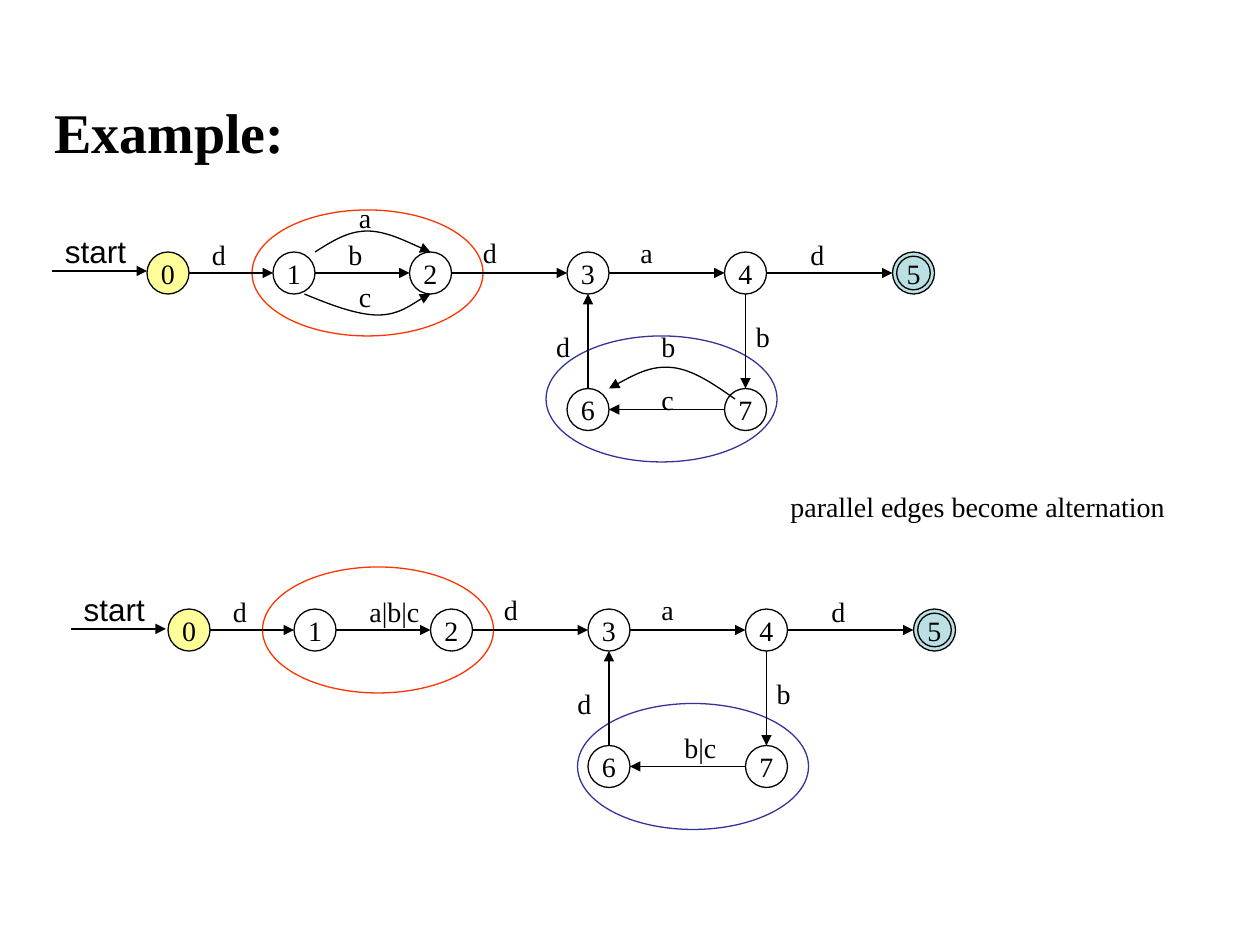
"""Build a slide showing how parallel automaton edges become alternation."""
from lxml import etree
from pptx import Presentation
from pptx.dml.color import RGBColor
from pptx.enum.shapes import MSO_CONNECTOR, MSO_SHAPE
from pptx.enum.text import MSO_ANCHOR, MSO_AUTO_SIZE, PP_ALIGN
from pptx.oxml.ns import qn
from pptx.util import Pt

PX = 7620
NODE = 40
OVAL = MSO_SHAPE.OVAL
STRAIGHT = MSO_CONNECTOR.STRAIGHT
MIDDLE = MSO_ANCHOR.MIDDLE
CENTER = PP_ALIGN.CENTER
LEFT = PP_ALIGN.LEFT
GROW = MSO_AUTO_SIZE.SHAPE_TO_FIT_TEXT
COLORS = {
    "black": "000000",
    "red": "FF3300",
    "blue": "333399",
    "yellow": "FFFF99",
    "teal": "BBE0E3",
}
BODY = {"name": "Times New Roman", "size": Pt(16)}
START = {"name": "Arial", "size": Pt(18)}
TITLE = {"name": "Times New Roman", "size": Pt(32), "bold": True}
LABEL_FRAME = {"word_wrap": False, "auto_size": GROW}
NODE_FRAME = {"word_wrap": False, "vertical_anchor": MIDDLE}
TITLE_FRAME = {"word_wrap": True, "vertical_anchor": MIDDLE}

NODES = {
    "0": (140, 240, "yellow"),
    "1": (260, 240, None),
    "2": (390, 240, None),
    "3": (540, 240, None),
    "4": (690, 240, None),
    "5": (850, 240, "teal"),
    "6": (540, 370, None),
    "7": (690, 370, None),
}
EDGES = ["01", "12", "23", "34", "45", "47", "76", "63"]
SHARED_LABELS = [
    ("d", 190, 220, 38), ("d", 448, 218, 38), ("a", 598, 218, 38),
    ("d", 760, 220, 38), ("d", 518, 308, 38), ("b", 708, 298, 38),
]
DIAGRAMS = [
    {
        "shift": (0, 0),
        "start": (50, 258),
        "rings": [(240, 200, "red"), (520, 320, "blue")],
        "labels": [
            ("a", 330, 185, 38), ("b", 320, 220, 38), ("c", 330, 260, 38),
            ("b", 618, 308, 38), ("c", 618, 358, 38),
        ],
    },
    {
        "shift": (20, 340),
        "start": (48, 259),
        "rings": [(230, 200, "red"), (530, 330, "blue")],
        "labels": [("a|b|c", 320, 220, 76), ("b|c", 620, 350, 60)],
    },
]
CURVES = [
    [(300, 240), (316, 230), (331, 220), (350, 220), (368, 220), (400, 236), (410, 240)],
    [(290, 280), (314, 290), (340, 300), (360, 300), (380, 300), (402, 283), (410, 280)],
    [(700, 380), (680, 366), (660, 352), (640, 350), (620, 348), (600, 359), (580, 370)],
]

deck = Presentation()
deck.slide_width, deck.slide_height = 1200 * PX, 900 * PX
page = deck.slides.add_slide(deck.slide_layouts[6])
shapes = page.shapes
arrows = []


def write(box, text, font, frame, align=LEFT):
    """Put one formatted span of text in a box."""
    for name, value in frame.items():
        setattr(box.text_frame, name, value)
    para = box.text_frame.paragraphs[0]
    para.alignment = align
    span = para.add_run()
    span.text = text
    for name, value in font.items():
        setattr(span.font, name, value)
    span.font.color.rgb = RGBColor.from_string(COLORS["black"])


def add_oval(left, top, width, height, line, fill=None):
    """Draw an outlined oval."""
    oval = shapes.add_shape(OVAL, left * PX, top * PX, width * PX, height * PX)
    oval.shadow.inherit = False
    oval.line.color.rgb = RGBColor.from_string(COLORS[line])
    oval.line.width = Pt(0.75)
    if fill:
        oval.fill.solid()
        oval.fill.fore_color.rgb = RGBColor.from_string(COLORS[fill])
    else:
        oval.fill.background()
    return oval


title = shapes.add_textbox(40 * PX, 50 * PX, 1020 * PX, 150 * PX)
write(title, "Example:", TITLE, TITLE_FRAME)

for diagram in DIAGRAMS:
    right, down = diagram["shift"]
    for left, top, color in diagram["rings"]:
        add_oval(left + right, top + down, 220, 120, color)

    for name, (left, top, fill) in NODES.items():
        node = add_oval(left + right, top + down, NODE, NODE, "black", fill)
        write(node, name, BODY, NODE_FRAME, CENTER)
    add_oval(854 + right, 244 + down, 32, 32, "black")

    start_x, start_y = diagram["start"]
    lines = [(start_x, start_y, start_x + 90, start_y)]
    for source, target in EDGES:
        ends = []
        (x1, y1, _), (x2, y2, _) = NODES[source], NODES[target]
        across = (x2 > x1) - (x2 < x1)
        along = (y2 > y1) - (y2 < y1)
        for x, y, side in ((x1, y1, 1), (x2, y2, -1)):
            ends += [x + NODE // 2 * (1 + side * across),
                     y + NODE // 2 * (1 + side * along)]
        lines.append(ends)
    for x1, y1, x2, y2 in lines:
        arrows.append(shapes.add_connector(
            STRAIGHT, (x1 + right) * PX, (y1 + down) * PX,
            (x2 + right) * PX, (y2 + down) * PX))

    for text, left, top, width in SHARED_LABELS + diagram["labels"]:
        label = shapes.add_textbox(
            (left + right) * PX, (top + down) * PX, width * PX, 44 * PX)
        write(label, text, BODY, LABEL_FRAME)
    label = shapes.add_textbox(
        (start_x + right) * PX, (start_y - 43 + down) * PX, 84 * PX, 48 * PX)
    write(label, "start", START, LABEL_FRAME)

for points in CURVES:
    builder = shapes.build_freeform(*points[0], scale=PX)
    builder.add_line_segments(points[1:], close=False)
    curve = builder.convert_to_shape()
    curve.shadow.inherit = False
    curve.fill.background()
    segments = list(curve._element.iter(qn("a:lnTo")))
    outline = segments[0].getparent()
    for first in range(0, len(segments), 3):
        bend = etree.SubElement(outline, qn("a:cubicBezTo"))
        for segment in segments[first:first + 3]:
            bend.append(segment[0])
            outline.remove(segment)
    arrows.append(curve)

for arrow in arrows:
    arrow.line.color.rgb = RGBColor.from_string(COLORS["black"])
    arrow.line.width = Pt(0.75)
    properties = arrow._element.spPr
    etree.SubElement(properties.get_or_add_ln(), qn("a:tailEnd"), type="triangle")
    if properties.find(qn("a:effectLst")) is None:
        etree.SubElement(properties, qn("a:effectLst"))

caption = shapes.add_textbox(741 * PX, 460 * PX, 390 * PX, 44 * PX)
write(caption, "parallel edges become alternation", BODY, LABEL_FRAME)

deck.save("out.pptx")
